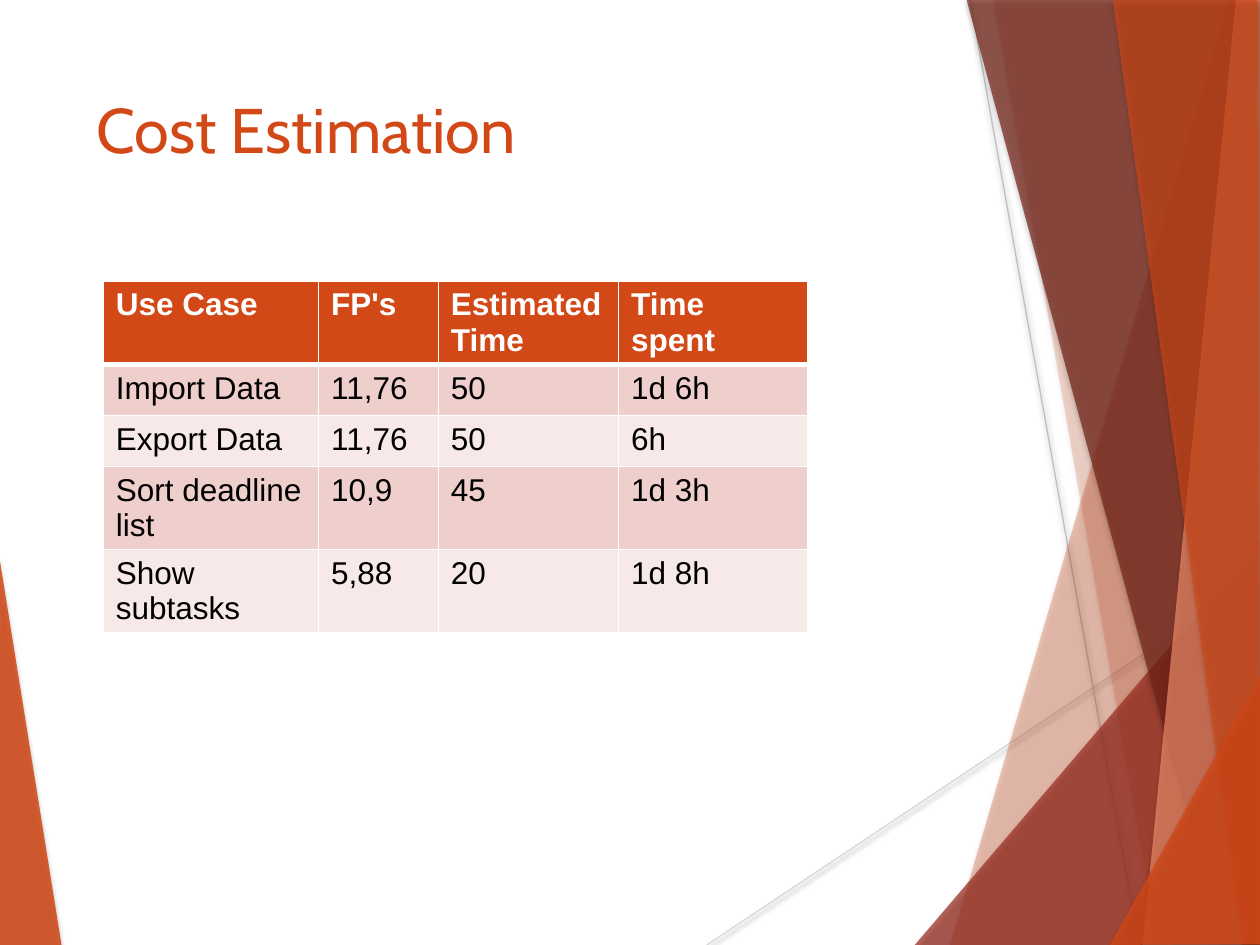
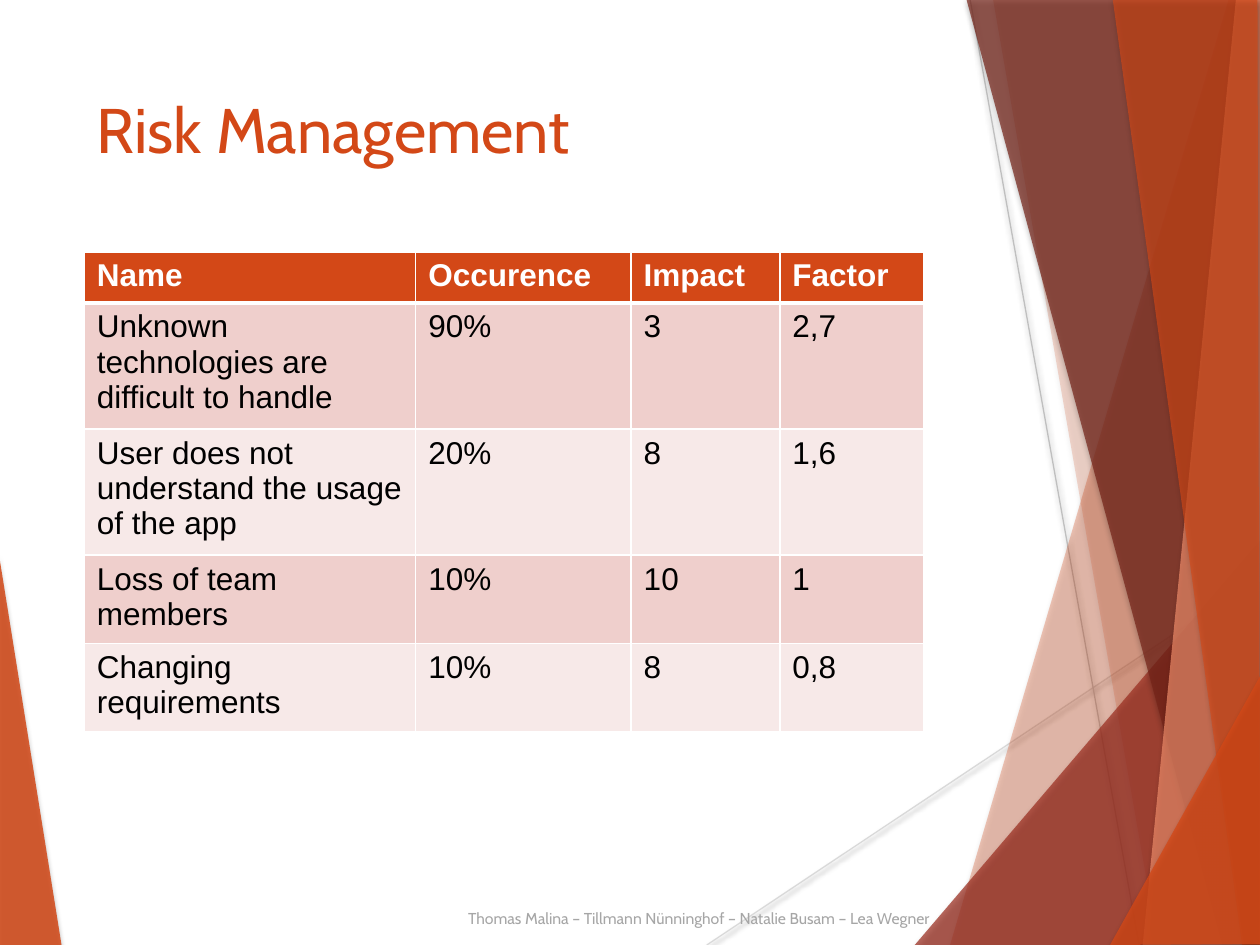
"""Build the cost estimation and risk management slides with their faceted layout."""
import lxml.etree
import pptx
import pptx.dml.color
import pptx.enum.shapes
import pptx.enum.text
import pptx.oxml
import pptx.oxml.ns
import pptx.util

Pt = pptx.util.Pt
RGBColor = pptx.dml.color.RGBColor
qn = pptx.oxml.ns.qn

ORANGE = RGBColor(0xD3, 0x48, 0x17)
RED = RGBColor(0x9B, 0x2D, 0x1F)
MAROON = RGBColor(0x74, 0x22, 0x17)
SALMON = RGBColor(0xEF, 0x8C, 0x6A)
LIGHT_GREY = RGBColor(0xD9, 0xD9, 0xD9)
MID_GREY = RGBColor(0xBF, 0xBF, 0xBF)
FOOTER_GREY = RGBColor(0xA6, 0xA6, 0xA6)
WHITE = RGBColor(0xFF, 0xFF, 0xFF)
BLACK = RGBColor(0, 0, 0)
BANDS = (RGBColor(0xEF, 0xCF, 0xCC), RGBColor(0xF7, 0xE9, 0xE8))


def add_shadow(shape, blur, distance, opacity):
    """Give a shape a soft black shadow that falls downwards."""
    shape._element.spPr.append(pptx.oxml.parse_xml(
        f'<a:effectLst {pptx.oxml.ns.nsdecls("a")}>'
        f'<a:outerShdw blurRad="{Pt(blur)}" dist="{Pt(distance)}" dir="5400000" rotWithShape="0">'
        f'<a:srgbClr val="000000"><a:alpha val="{opacity * 1000}"/></a:srgbClr>'
        '</a:outerShdw></a:effectLst>'))


def format_runs(text_frame, font_name, size, color, bold=False):
    """Apply one font to every run of a text frame."""
    for paragraph in text_frame.paragraphs:
        for run in paragraph.runs:
            run.font.name = font_name
            run.font.size = Pt(size)
            run.font.color.rgb = color
            run.font.bold = bold


FACETS = [
    (ORANGE, 85, [(-0.7, 316.1), (35.3, 540.7), (-0.7, 540)]),
    (ORANGE, 30, [(702, 0), (542.9, 540), (721.4, 540.7), (720.7, 0.7)]),
    (ORANGE, 20, [(567.4, -0.7), (661.7, 540), (720.7, 540), (720.7, -0.7)]),
    (RED, 72, [(522.7, 540), (720, 308.9), (720.7, 540)]),
    (MAROON, 70, [(552.2, -0.7), (698.4, 540), (720.7, 539.3), (720.7, -0.7)]),
    (SALMON, 70, [(706.3, -0.7), (653, 540), (720.7, 540), (720, -0.7)]),
    (ORANGE, 65, [(635.8, -0.7), (709.9, 540), (720, 540), (718.6, -0.7)]),
    (ORANGE, 80, [(634.3, 540), (720.7, 385.2), (720.7, 539.3)]),
]
RAYS = [
    (LIGHT_GREY, (403.9, 540), (720.7, 329)),
    (MID_GREY, (554.4, 0), (650.9, 540)),
]
PAGES = [
    {
        "title": "Cost Estimation",
        "footer": None,
        "place": (59, 160.6),
        "columns": (123.1, 68.4, 103, 108),
        "rows": [
            ("Use Case", "FP's", "Estimated Time", "Time spent"),
            ("Import Data", "11,76", "50", "1d 6h"),
            ("Export Data", "11,76", "50", "6h"),
            ("Sort deadline list", "10,9", "45", "1d 3h"),
            ("Show subtasks", "5,88", "20", "1d 8h"),
        ],
    },
    {
        "title": "Risk Management",
        "footer": "Thomas Malina – Tillmann Nünninghof – Natalie Busam – Lea Wegner ",
        "place": (48.2, 144),
        "columns": (189.4, 123.1, 85, 82.1),
        "rows": [
            ("Name", "Occurence", "Impact", "Factor"),
            ("Unknown technologies are difficult to handle", "90%", "3", "2,7"),
            ("User does not understand the usage of the app", "20%", "8", "1,6"),
            ("Loss of team members", "10%", "10", "1"),
            ("Changing requirements", "10%", "8", "0,8"),
        ],
    },
]
ROW_HEIGHT = 29.2

deck = pptx.Presentation()
deck.slide_width, deck.slide_height = Pt(720), Pt(540)
layout = deck.slide_layouts[5]
slides = [deck.slides.add_slide(layout) for page in PAGES]

canvas = slides[0].shapes
facets = []
for color, opacity, corners in FACETS:
    points = [(Pt(x), Pt(y)) for x, y in corners]
    outline = canvas.build_freeform(*points[0], scale=1)
    outline.add_line_segments(points[1:], close=True)
    facet = outline.convert_to_shape()
    facet.fill.solid()
    facet.fill.fore_color.rgb = color
    tint = facet._element.spPr.find(qn("a:solidFill"))[0]
    lxml.etree.SubElement(tint, qn("a:alpha"), val=str(opacity * 1000))
    facet.line.fill.background()
    add_shadow(facet, 3, 2, 35)
    facets.append(facet)

rays = []
for color, start, end in RAYS:
    ray = canvas.add_connector(pptx.enum.shapes.MSO_CONNECTOR.STRAIGHT,
                               *[Pt(length) for length in start + end])
    ray.line.color.rgb = color
    ray.line.width = Pt(0.75)
    add_shadow(ray, 3.1, 1.6, 38)
    rays.append(ray)

layout_title = layout.placeholders[0]._element
for number, part in enumerate(facets[:1] + rays + facets[1:], 101):
    part._element.xpath(".//p:cNvPr")[0].set("id", str(number))
    layout_title.addprevious(part._element)

for slide, page in zip(slides, PAGES):
    title = slide.shapes.title
    title.left, title.top, title.width, title.height = Pt(48.2), Pt(48.2), Pt(499.7), Pt(103.7)
    title.text_frame.text = page["title"]
    title.text_frame.vertical_anchor = pptx.enum.text.MSO_ANCHOR.TOP
    title.text_frame.auto_size = pptx.enum.text.MSO_AUTO_SIZE.NONE
    title.text_frame.paragraphs[0].alignment = pptx.enum.text.PP_ALIGN.LEFT
    format_runs(title.text_frame, "Cabin", 36, ORANGE)

    if page["footer"]:
        authors = slide.shapes.add_textbox(Pt(40.3), Pt(510.5), Pt(499.7), Pt(28.8)).text_frame
        authors.word_wrap = True
        authors.vertical_anchor = pptx.enum.text.MSO_ANCHOR.MIDDLE
        authors.text = page["footer"]
        authors.paragraphs[0].alignment = pptx.enum.text.PP_ALIGN.RIGHT
        format_runs(authors, "Cabin", 9, FOOTER_GREY)

    rows, columns = page["rows"], page["columns"]
    left, top = page["place"]
    estimates = slide.shapes.add_table(len(rows), len(columns), Pt(left), Pt(top),
                                       Pt(sum(columns)), Pt(ROW_HEIGHT * len(rows))).table
    for column, width in zip(estimates.columns, columns):
        column.width = Pt(width)
    for row_index, row in enumerate(rows):
        estimates.rows[row_index].height = Pt(ROW_HEIGHT)
        is_header = row_index == 0
        for column_index, entry in enumerate(row):
            cell = estimates.cell(row_index, column_index)
            cell.text_frame.text = entry
            format_runs(cell.text_frame, "Arial", 18, WHITE if is_header else BLACK, is_header)
            borders = {"L": 1, "R": 1, "T": 3 if row_index == 1 else 1, "B": 3 if is_header else 1}
            for side, width in borders.items():
                border = lxml.etree.SubElement(cell._tc.get_or_add_tcPr(), qn(f"a:ln{side}"),
                                               w=str(Pt(width)))
                paint = lxml.etree.SubElement(border, qn("a:solidFill"))
                lxml.etree.SubElement(paint, qn("a:srgbClr"), val=str(WHITE))
            cell.fill.solid()
            cell.fill.fore_color.rgb = ORANGE if is_header else BANDS[(row_index - 1) % 2]

deck.save("out.pptx")
